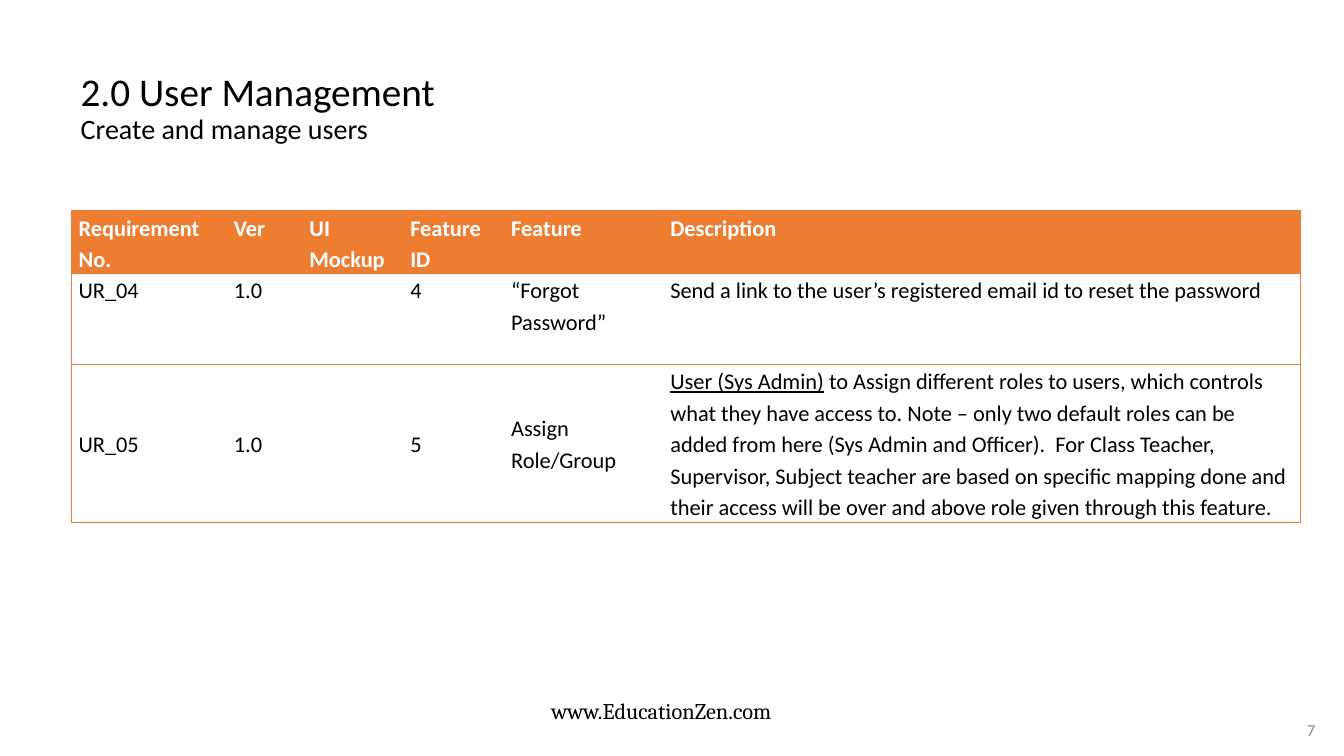
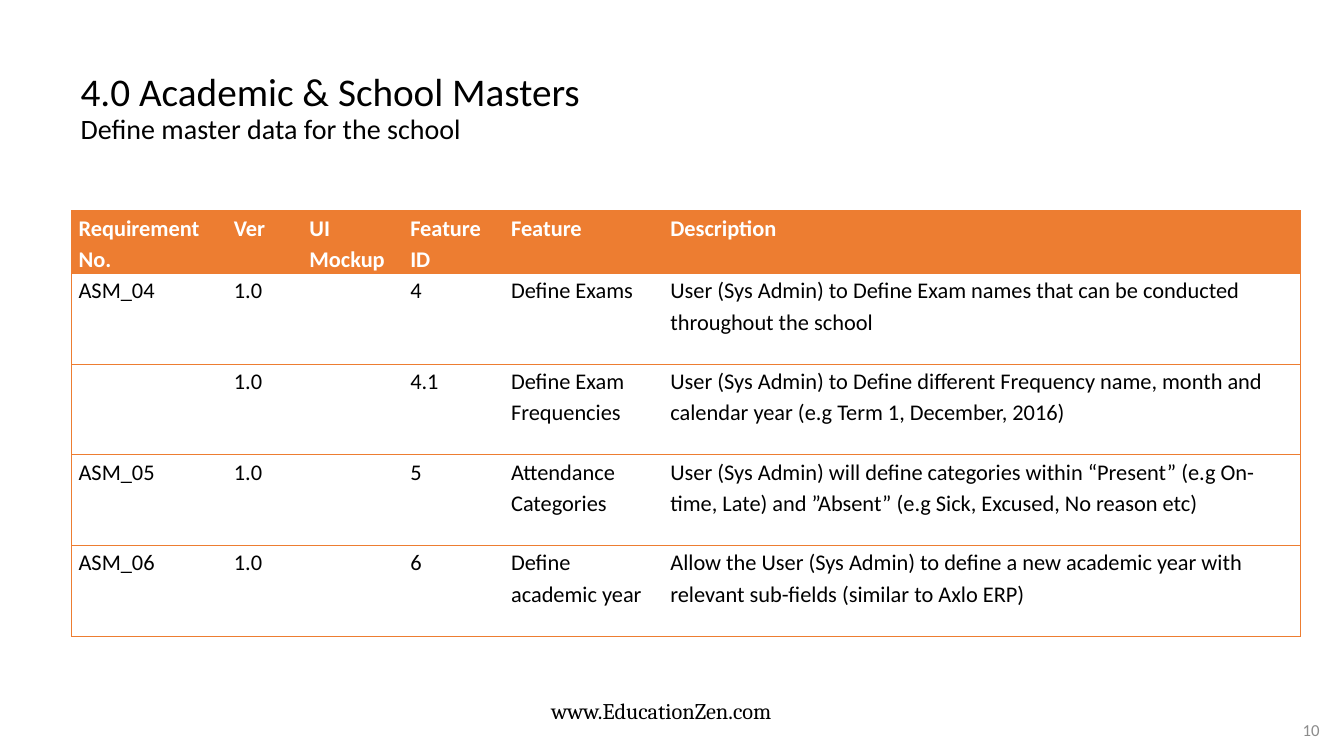
import pptx
import pptx.util
import pptx.dml.color
import pptx.enum.text
import pptx.oxml
import pptx.oxml.ns
from dataclasses import dataclass

Inches = pptx.util.Inches
Pt = pptx.util.Pt
ALIGN = pptx.enum.text.PP_ALIGN
ANCHOR = pptx.enum.text.MSO_ANCHOR

SITE = "www.EducationZen.com"
HEADS = ["Requirement No.", "Ver", "UI Mockup", "Feature ID", "Feature", "Description"]
PAGES = [
    {
        "page": "7",
        "title": "2.0 User Management",
        "sub": "Create and manage users",
        "rows": [
            ["UR_04", "1.0", "", "4", "“Forgot Password”",
             "Send a link to the user’s registered email id to reset the password"],
            ["UR_05", "1.0", "", "5", "Assign Role/Group",
             " to Assign different roles to users, which controls what they have access to. "
             "Note – only two default roles can be added from here (Sys Admin and Officer).  "
             "For Class Teacher, Supervisor, Subject teacher are based on specific mapping done "
             "and their access will be over and above role given through this feature."],
        ],
        "highs": [0.9, 1.57],
        "middle": {2},
        "leads": {(2, 5): "User (Sys Admin)"},
    },
    {
        "page": "10",
        "title": "4.0 Academic & School Masters",
        "sub": "Define master data for the school",
        "rows": [
            ["ASM_04", "1.0", "", "4", "Define Exams",
             "User (Sys Admin) to Define Exam names that can be conducted throughout the school"],
            ["", "1.0", "", "4.1", "Define Exam Frequencies",
             "User (Sys Admin) to Define different Frequency name, month and calendar year "
             "(e.g Term 1, December, 2016)"],
            ["ASM_05", "1.0", "", "5", "Attendance Categories",
             "User (Sys Admin) will define categories within “Present” (e.g On-time, Late) "
             "and ”Absent” (e.g Sick, Excused, No reason etc)"],
            ["ASM_06", "1.0", "", "6", "Define academic year",
             "Allow the User (Sys Admin) to define a new academic year with relevant "
             "sub-fields (similar to Axlo ERP)"],
        ],
        "highs": [0.9] * 4,
        "middle": set(),
        "leads": {},
    },
]


@dataclass(frozen=True)
class Theme:
    font: str = "Calibri"
    serif: str = "Cambria"
    ink: str = "000000"
    white: str = "FFFFFF"
    gray: str = "8C8C8C"
    accent: str = "ED7D31"
    head: int = 28
    sub: int = 20
    text: int = 16
    small: int = 12
    rule: float = 0.5


T = Theme()
COLS = [1.54, 0.75, 1, 1, 1.58, 6.32]
HEAD_H = 0.62
PLAIN = "{2D5ABB26-0587-4C30-8999-92F81FD0307C}"


def add_run(par, text, size, color=T.ink, font=T.font, bold=False, under=False):
    run = par.add_run()
    run.text = text
    run.font.size = Pt(size)
    run.font.name = font
    run.font.bold = bold
    run.font.underline = under
    run.font.color.rgb = pptx.dml.color.RGBColor.from_string(color)


def add_label(slide, box, text, size, color, font, align):
    label = slide.shapes.add_textbox(*map(Inches, box))
    frame = label.text_frame
    frame.word_wrap = True
    par = frame.paragraphs[0]
    par.alignment = align
    add_run(par, text, size, color, font)
    return label


def set_title(deck, layout):
    style = deck.slide_master.element.find(".//" + pptx.oxml.ns.qn("p:titleStyle"))
    level = style.find(pptx.oxml.ns.qn("a:lvl1pPr"))
    level.set("algn", "l")
    level.find(pptx.oxml.ns.qn("a:defRPr")).set("sz", str(T.head * 100))
    title = layout.placeholders[0]
    title.left, title.top, title.width, title.height = map(Inches, (0.7, 0.42, 10.96, 1.33))
    title.text_frame.vertical_anchor = ANCHOR.MIDDLE


def add_title(slide, head, sub):
    par = slide.shapes.title.text_frame.paragraphs[0]
    par.line_spacing = 0.9
    add_run(par, head, T.head)
    par.add_line_break()
    add_run(par, sub, T.sub)


def add_rules(cell, sides):
    props = cell._tc.get_or_add_tcPr()
    for side in sides:
        props.append(pptx.oxml.parse_xml(
            f'<a:ln{side} {pptx.oxml.ns.nsdecls("a")} w="{Pt(T.rule)}">'
            f'<a:solidFill><a:srgbClr val="{T.accent}"/></a:solidFill></a:ln{side}>'))


def add_grid(slide, data):
    rows = [HEADS] + data["rows"]
    highs = [HEAD_H] + data["highs"]
    frame = slide.shapes.add_table(
        len(rows), len(COLS), Inches(0.71), Inches(2.09), Inches(sum(COLS)), Inches(sum(highs)))
    grid = frame.table
    grid.horz_banding = False
    frame.element.find(".//" + pptx.oxml.ns.qn("a:tableStyleId")).text = PLAIN
    for col, wide in zip(grid.columns, COLS):
        col.width = Inches(wide)
    for r, row in enumerate(rows):
        top = r == 0
        grid.rows[r].height = Inches(highs[r])
        for c, text in enumerate(row):
            cell = grid.cell(r, c)
            cell.margin_left = cell.margin_right = Inches(0.07)
            cell.margin_top = cell.margin_bottom = 0
            cell.vertical_anchor = ANCHOR.MIDDLE if r in data["middle"] else ANCHOR.TOP
            sides = [("L", c == 0), ("R", c == len(COLS) - 1), ("T", r < 2), ("B", True)]
            add_rules(cell, [side for side, shown in sides if shown])
            if top:
                cell.fill.solid()
                cell.fill.fore_color.rgb = pptx.dml.color.RGBColor.from_string(T.accent)
            else:
                cell.fill.background()
            par = cell.text_frame.paragraphs[0]
            par.line_spacing = 1.15
            lead = data["leads"].get((r, c))
            if lead:
                add_run(par, lead, T.text, under=True)
            if text:
                add_run(par, text, T.text, T.white if top else T.ink, bold=top)


def main():
    deck = pptx.Presentation()
    deck.slide_width, deck.slide_height = Inches(13.33), Inches(7.5)
    layout = deck.slide_layouts[5]
    set_title(deck, layout)
    for n, data in enumerate(PAGES):
        slide = deck.slides.add_slide(layout)
        if n == 0:
            foot = add_label(slide, (4.75, 6.87, 3, 0.37), SITE, T.text, T.ink, T.serif, ALIGN.RIGHT)
            layout.shapes.element.append(foot.element)
        page = add_label(slide, (12.72, 7.04, 0.57, 0.4), data["page"],
                         T.small, T.gray, T.font, ALIGN.CENTER)
        page.text_frame.vertical_anchor = ANCHOR.MIDDLE
        add_title(slide, data["title"], data["sub"])
        add_grid(slide, data)
    deck.save("out.pptx")


if __name__ == "__main__":
    main()
